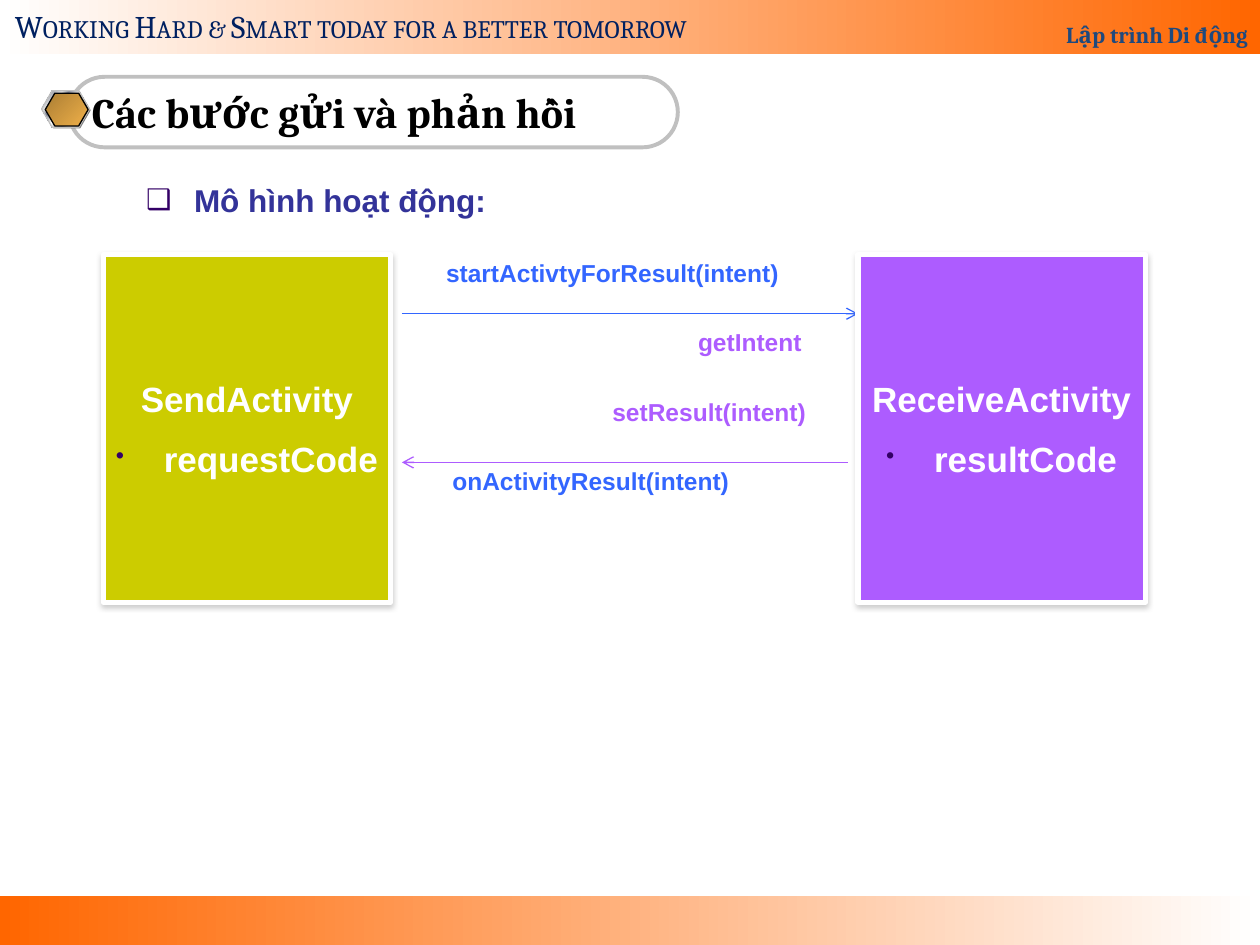
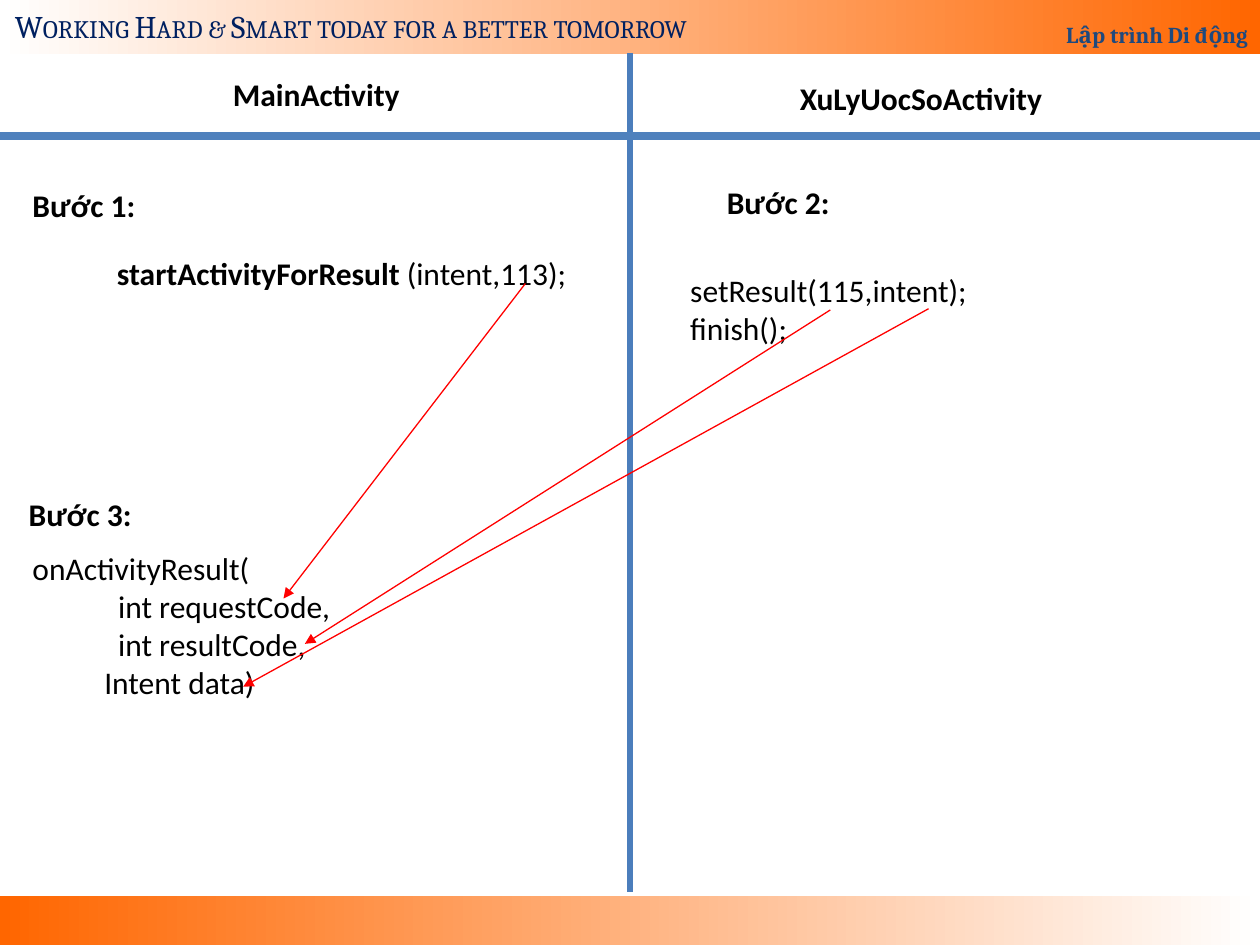
"""Build two slides on how activities send and return results."""
from lxml.etree import SubElement
from pptx import Presentation
from pptx.dml.color import RGBColor
from pptx.enum.shapes import MSO_CONNECTOR, MSO_SHAPE
from pptx.enum.text import MSO_ANCHOR, MSO_AUTO_SIZE, PP_ALIGN
from pptx.oxml.ns import qn
from pptx.util import Inches, Pt

WHITE = RGBColor(255, 255, 255)
BLACK = RGBColor(0, 0, 0)
ORANGE = RGBColor(0xFF, 0x66, 0x00)
NAVY = RGBColor(0x00, 0x20, 0x60)
STEEL = RGBColor(0x1F, 0x49, 0x7D)
SILVER = RGBColor(0xC0, 0xC0, 0xC0)
GRAY = RGBColor(0x80, 0x80, 0x80)
PALE = RGBColor(0xE6, 0xE6, 0xE6)
SLATE = RGBColor(0x7D, 0x84, 0x96)
BRONZE = RGBColor(0xAB, 0x7E, 0x34)
GOLD = RGBColor(0xEF, 0xB0, 0x49)
INDIGO = RGBColor(0x33, 0x33, 0x99)
PLUM = RGBColor(0x33, 0x00, 0x66)
BLUE = RGBColor(0x33, 0x66, 0xFF)
VIOLET = RGBColor(0xAD, 0x5C, 0xFF)
OLIVE = RGBColor(0xCC, 0xCC, 0x00)
RULE = RGBColor(0x4F, 0x81, 0xBD)
DIVIDE = RGBColor(0x4B, 0x7E, 0xBC)
RED = RGBColor(255, 0, 0)
METAL = [(0, PALE), (7, SLATE), (26, PALE), (34, SLATE), (46, PALE), (50, WHITE),
         (54, PALE), (66, SLATE), (74, PALE), (93, SLATE), (100, PALE)]


class Deck:
    """Hold the style and the current slide."""

    def __init__(self):
        self.file = Presentation()
        self.file.slide_width, self.file.slide_height = Inches(10), Inches(7.5)
        self.slide = None

    def page(self, layout):
        """Add a slide with the shared bands."""
        self.slide = self.file.slides.add_slide(self.file.slide_layouts[layout])
        for item in list(self.slide.placeholders):
            if item.placeholder_format.idx > 1:
                item.element.getparent().remove(item.element)
        self.shape((0, 7.11, 10, 0.39), [(0, ORANGE), (100, WHITE)])
        band = self.shape((0, -0.06, 10, 0.49), [(0, WHITE), (100, ORANGE)])
        frame = band.text_frame
        frame.vertical_anchor = MSO_ANCHOR.BOTTOM
        self.para(frame, "Lập trình Di động", 13, "Cambria", STEEL, True,
                  align=PP_ALIGN.RIGHT, space=1.8)
        motto = self.text((0.02, 0.01, 5.9, 0.4),
                          ["Working Hard & Smart today for a better tomorrow"],
                          "Cambria", NAVY)
        motto.paragraphs[0].font._rPr.set("cap", "small")

    def para(self, frame, text, size, font, color, bold=False, align=PP_ALIGN.LEFT,
             indent=0, hang=0, bullet=None, scale=100, before=0, space=1):
        """Write one paragraph at the end of a frame."""
        line = frame.paragraphs[-1]
        if line.text:
            line = frame.add_paragraph()
        line.text = text
        props = line._p.get_or_add_pPr()
        props.set("marL", str(Inches(indent)))
        props.set("indent", str(Inches(-hang)))
        if bullet:
            tint = SubElement(props, qn("a:buClr"))
            SubElement(tint, qn("a:srgbClr"), val=str(PLUM))
            SubElement(props, qn("a:buSzPct"), val=str(scale * 1000))
            SubElement(props, qn("a:buChar"), char=bullet)
        else:
            SubElement(props, qn("a:buNone"))
        line.alignment, line.line_spacing = align, space
        line.space_before = Pt(before)
        style = line.font
        style.name, style.size, style.bold = font, Pt(size), bold
        style.color.rgb = color

    def text(self, place, lines, font="Calibri", color=BLACK, bold=False,
             indents=(), wrap=False):
        """Add a text box with one paragraph a line."""
        frame = self.slide.shapes.add_textbox(*map(Inches, place)).text_frame
        frame.word_wrap = wrap
        for num, line in enumerate(lines):
            self.para(frame, line, 18, font, color, bold,
                      indent=indents[num] if indents else 0)
        return frame

    def shape(self, place, fill=None, line=None, width=0.75,
              kind=MSO_SHAPE.RECTANGLE, angle=0):
        """Add a preset shape with a plain or gradient fill."""
        item = self.slide.shapes.add_shape(kind, *map(Inches, place))
        item.shadow.inherit = False
        if fill is None:
            item.fill.background()
        elif isinstance(fill, list):
            item.fill.gradient()
            item.fill.gradient_angle = angle
            stops = item._element.spPr.find(".//" + qn("a:gsLst"))
            for stop in list(stops):
                stops.remove(stop)
            for spot, color in fill:
                stop = SubElement(stops, qn("a:gs"), pos=str(spot * 1000))
                SubElement(stop, qn("a:srgbClr"), val=str(color))
        else:
            item.fill.solid()
            item.fill.fore_color.rgb = fill
        if line is None:
            item.line.fill.background()
        else:
            item.line.color.rgb, item.line.width = line, Pt(width)
        return item

    def line(self, start, end, color, width=0.75, head=None):
        """Add a straight line, with an arrowhead at its end if named."""
        item = self.slide.shapes.add_connector(
            MSO_CONNECTOR.STRAIGHT, *map(Inches, start + end))
        item.line.color.rgb, item.line.width = color, Pt(width)
        if head:
            SubElement(item.line._get_or_add_ln(), qn("a:tailEnd"), type=head)
        SubElement(item._element.spPr, qn("a:effectLst"))

    def title(self, text):
        """Fill the title in its rounded frame with a hexagon badge."""
        frame = self.shape((0.55, 0.61, 4.83, 0.56), None, SILVER, 2.25,
                           MSO_SHAPE.ROUNDED_RECTANGLE)
        frame.adjustments[0] = 0.5
        for place, fill, edge in (
                ((0.34, 0.73, 0.38, 0.29), GRAY, None),
                ((0.33, 0.72, 0.38, 0.29), METAL, SILVER),
                ((0.36, 0.74, 0.34, 0.26), [(0, BRONZE), (100, GOLD)], BLACK)):
            badge = self.shape(place, fill, edge, kind=MSO_SHAPE.HEXAGON, angle=315)
            badge.adjustments[0] = 0.29
        head = self.slide.shapes.title
        self.move(head, (0.63, 0.61, 4.7, 0.56))
        head.text_frame.vertical_anchor = MSO_ANCHOR.MIDDLE
        self.para(head.text_frame, text, 24, "Cambria", BLACK, True)

    def move(self, item, place):
        """Place a placeholder and stop it from shrinking its text."""
        item.left, item.top, item.width, item.height = map(Inches, place)
        item.text_frame.auto_size = MSO_AUTO_SIZE.NONE

    def body(self, place, head, calls):
        """Fill the body with a bulleted head and indented calls."""
        item = self.slide.placeholders[1]
        self.move(item, place)
        frame = item.text_frame
        self.para(frame, head, 18, "Arial", INDIGO, True, indent=0.38, hang=0.38,
                  bullet="❑", scale=90, space=1.25)
        for text, color, indent in calls:
            self.para(frame, text, 14, "Arial", color, True, indent=indent,
                      before=18.5, space=1.25)

    def card(self, left, fill, name, code):
        """Add a shadowed activity box with its code."""
        item = self.shape((left, 2.02, 2.28, 2.76), fill, WHITE, 3)
        glow = SubElement(item._element.spPr.find(qn("a:effectLst")),
                          qn("a:outerShdw"), blurRad=str(Pt(3.1)),
                          dist=str(Pt(1.6)), dir="5400000", rotWithShape="0")
        tint = SubElement(glow, qn("a:srgbClr"), val=str(GRAY))
        SubElement(tint, qn("a:alpha"), val="38000")
        frame = item.text_frame
        frame.vertical_anchor = MSO_ANCHOR.MIDDLE
        self.para(frame, name, 20, "Arial", WHITE, True, PP_ALIGN.CENTER)
        self.para(frame, code, 20, "Arial", WHITE, True, PP_ALIGN.CENTER,
                  0.38, 0.38, "•", 70, 10.5)


deck = Deck()

deck.page(1)
deck.title("Các bước gửi và phản hồi")
deck.body((1.06, 1.31, 8.66, 5.67), "Mô hình hoạt động:", [
    ("startActivtyForResult(intent)", BLUE, 2.38),
    ("getIntent", VIOLET, 4.38),
    ("setResult(intent)", VIOLET, 3.7),
    ("onActivityResult(intent)", BLUE, 2.43)])
deck.line((3.19, 2.49), (6.81, 2.49), BLUE, head="arrow")
deck.card(0.82, OLIVE, "SendActivity", "requestCode")
deck.card(6.81, VIOLET, "ReceiveActivity", "resultCode")
deck.line((6.73, 3.67), (3.19, 3.67), VIOLET, head="arrow")

deck.page(6)
deck.line((5, 0.42), (5, 7.08), DIVIDE, 3)
deck.line((0, 1.08), (10, 1.08), RULE, 4.5)
for left, top, width, label in (
        (1.75, 0.55, 1.54, "MainActivity"),
        (6.25, 0.58, 2.14, "XuLyUocSoActivity"),
        (0.16, 1.43, 1.03, "Bước 1:"),
        (0.83, 1.97, 2.47, "startActivityForResult"),
        (5.67, 1.4, 1.03, "Bước 2:"),
        (0.13, 3.88, 1.03, "Bước 3:")):
    deck.text((left, top, width, 0.4), [label], bold=True)
deck.text((3.13, 1.97, 1.48, 0.4), ["(intent,113);"])
deck.text((5.38, 2.1, 4.6, 0.71), ["setResult(115,intent);", "finish();"], wrap=True)
deck.text((0.16, 4.31, 5, 1.31),
          ["onActivityResult(", "int requestCode,", "int resultCode,", "Intent data)"],
          indents=(0, 0.68, 0.68, 0.57), wrap=True)
for start, end in (((4.17, 2.25), (2.25, 4.75)),
                   ((6.59, 2.46), (2.42, 5.11)),
                   ((7.37, 2.45), (1.93, 5.45))):
    deck.line(start, end, RED, head="triangle")

deck.file.save("out.pptx")
